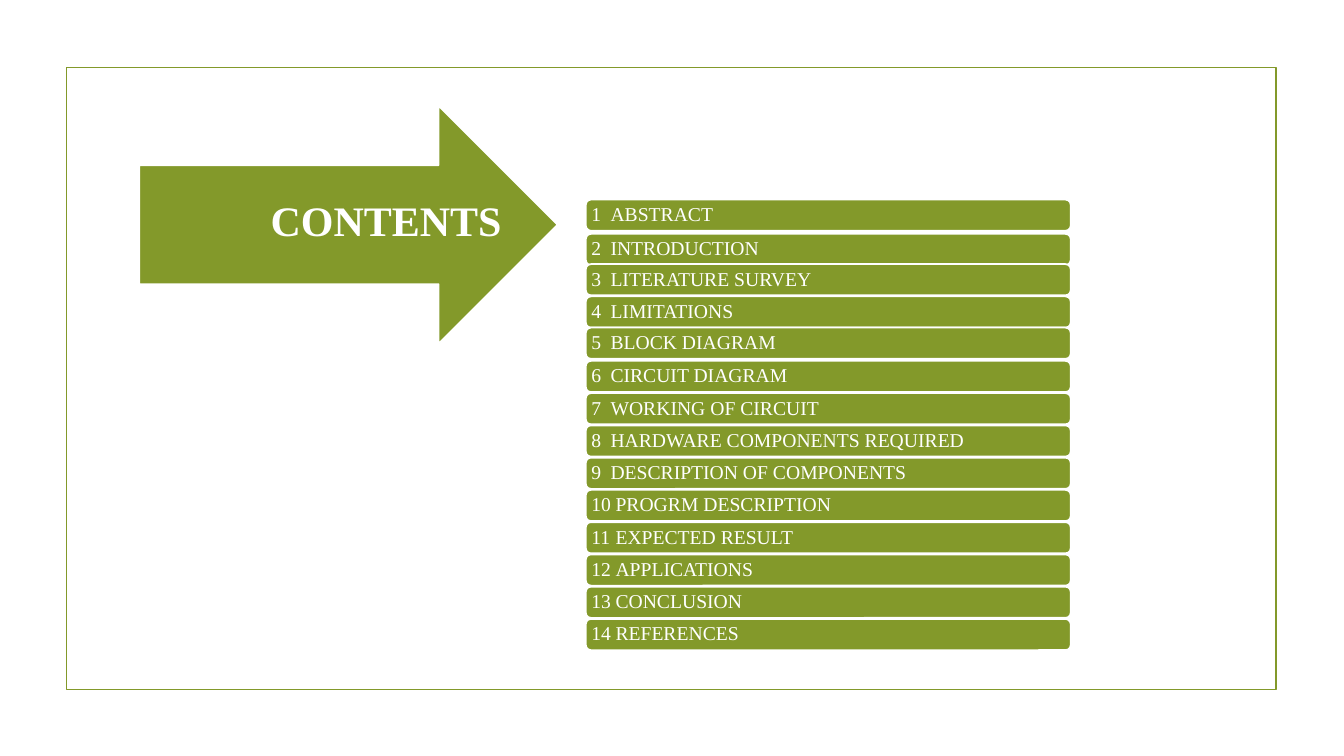
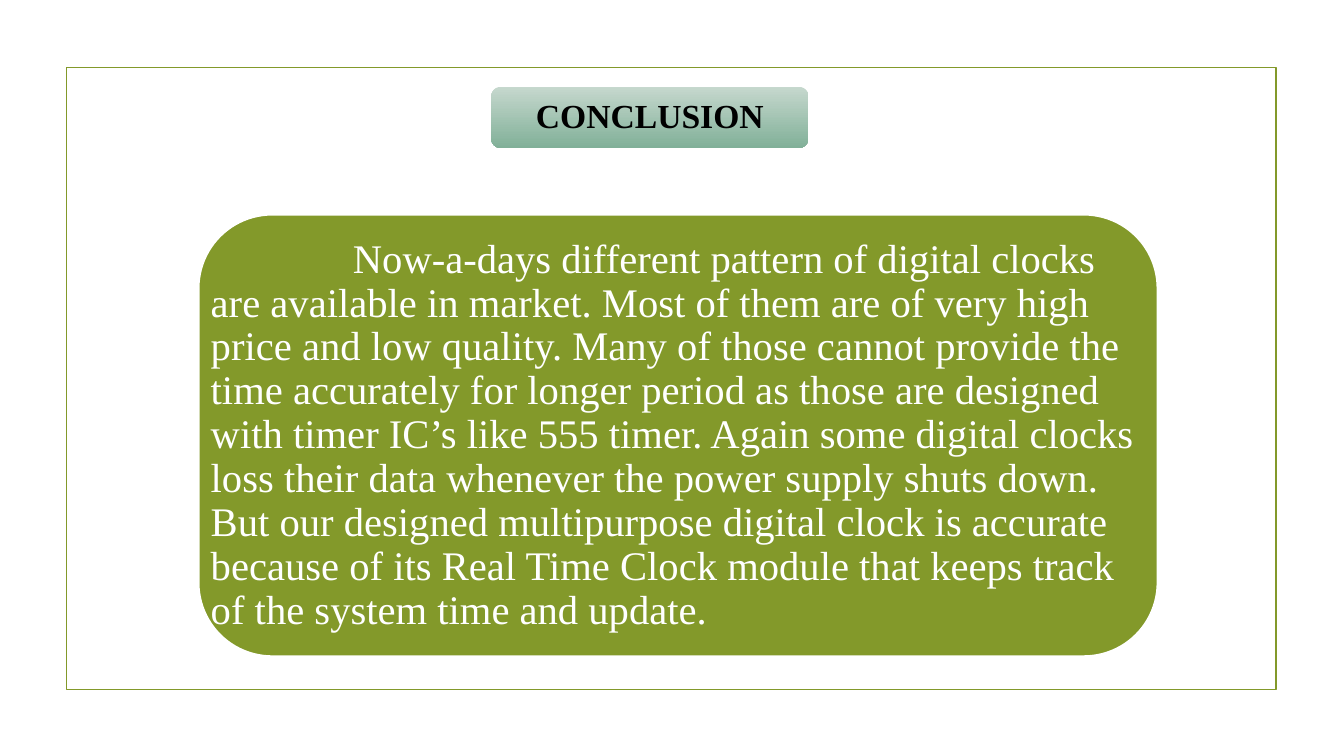
"""Build the contents and conclusion slides of a digital clock talk."""
import dataclasses
import typing

import lxml.etree
import pptx
import pptx.dml.color
import pptx.enum.shapes
import pptx.enum.text
import pptx.oxml.ns
import pptx.util

PX = 9144
Kind = pptx.enum.shapes.MSO_SHAPE
Align = pptx.enum.text.PP_ALIGN


@dataclasses.dataclass(frozen=True)
class Theme:
    font: str = "Times New Roman"
    green: str = "83992A"
    white: str = "FFFFFF"
    black: str = "000000"
    fade: tuple[str, str] = ("C6D8CE", "81B098")
    line: float = 1.25
    lead: float = 0.9
    head: int = 30
    name: int = 24
    body: int = 29
    item: int = 14


class Box(typing.NamedTuple):
    left: int
    top: int
    width: int
    height: int


class Item(typing.NamedTuple):
    text: str
    nudge: int = 0


THEME = Theme()
FRAME = Box(66, 67, 1200, 617)
ARROW = Box(138, 105, 415, 236)
HEAD = Box(255, 162, 256, 118)
BAR = Box(581, 198, 481, 31)
STEP = 32
LABEL = Box(487, 86, 315, 61)
PANEL = Box(197, 213, 951, 438)
ITEMS = [
    Item("ABSTRACT"),
    Item("INTRODUCTION", 2),
    Item("LITERATURE SURVEY"),
    Item("LIMITATIONS"),
    Item("BLOCK DIAGRAM", -1),
    Item("CIRCUIT DIAGRAM"),
    Item("WORKING OF CIRCUIT"),
    Item("HARDWARE COMPONENTS REQUIRED"),
    Item("DESCRIPTION OF COMPONENTS"),
    Item("PROGRM DESCRIPTION"),
    Item("EXPECTED RESULT"),
    Item("APPLICATIONS"),
    Item("CONCLUSION"),
    Item("REFERENCES"),
]
BODY = (
    "Now-a-days different pattern of digital clocks are available in market. "
    "Most of them are of very high price and low quality. Many of those cannot "
    "provide the time accurately for longer period as those are designed with "
    "timer IC’s like 555 timer. Again some digital clocks loss their data "
    "whenever the power supply shuts down. But our designed multipurpose "
    "digital clock is accurate because of its Real Time Clock module that "
    "keeps track of the system time and update."
)


def emu(box: Box) -> list[int]:
    return [side * PX for side in box]


def rgb(code: str) -> pptx.dml.color.RGBColor:
    return pptx.dml.color.RGBColor.from_string(code)


def write(shape, text: str, *, size: int, color: str = THEME.white,
          bold: bool = False, align=Align.LEFT, pad: int = 0,
          indent: int = 0, tab: int = 0) -> None:
    frame = shape.text_frame
    frame.word_wrap = True
    frame.auto_size = pptx.enum.text.MSO_AUTO_SIZE.NONE
    frame.vertical_anchor = pptx.enum.text.MSO_ANCHOR.MIDDLE
    frame.margin_left = frame.margin_right = pad * PX
    frame.margin_top = frame.margin_bottom = 0
    para = frame.paragraphs[0]
    para.alignment = align
    para.line_spacing = THEME.lead
    props = para._p.get_or_add_pPr()
    if indent:
        props.set("indent", str(indent * PX))
    if tab:
        tabs = lxml.etree.SubElement(props, pptx.oxml.ns.qn("a:tabLst"))
        lxml.etree.SubElement(tabs, pptx.oxml.ns.qn("a:tab"),
                              pos=str(tab * PX), algn="l")
    run = para.add_run()
    run.text = text
    font = run.font
    font.name = THEME.font
    font.size = pptx.util.Pt(size)
    font.bold = bold
    font.color.rgb = rgb(color)


def draw(slide, kind, box: Box, fill: str | None = None,
         line: str | None = None):
    shape = slide.shapes.add_shape(kind, *emu(box))
    shape.shadow.inherit = False
    if fill:
        shape.fill.solid()
        shape.fill.fore_color.rgb = rgb(fill)
    else:
        shape.fill.background()
    if line:
        shape.line.color.rgb = rgb(line)
        shape.line.width = pptx.util.Pt(THEME.line)
    else:
        shape.line.fill.background()
    return shape


def block(slide, kind, box: Box):
    return draw(slide, kind, box, THEME.green, THEME.white)


def title(slide, text: str, box: Box, size: int, color: str) -> None:
    shape = slide.shapes.title
    shape.left, shape.top, shape.width, shape.height = emu(box)
    write(shape, text, size=size, color=color, bold=True, align=Align.CENTER)
    slide.shapes.element.append(shape.element)


def border(slide) -> None:
    frame = draw(slide, Kind.RECTANGLE, FRAME, line=THEME.green)
    frame.element.nvSpPr.cNvPr.set("id", "99")
    slide.slide_layout.shapes.element.append(frame.element)


def contents(slide) -> None:
    block(slide, Kind.RIGHT_ARROW, ARROW)
    title(slide, "CONTENTS", HEAD, THEME.head, THEME.white)
    for num, item in enumerate(ITEMS, 1):
        top = BAR.top + (num - 1) * STEP + item.nudge
        bar = block(slide, Kind.ROUNDED_RECTANGLE, BAR._replace(top=top))
        write(bar, f"{num}\t{item.text}", size=THEME.item, pad=4,
              tab=19 if num < 10 else 24)


def closing(slide) -> None:
    label = draw(slide, Kind.ROUNDED_RECTANGLE, LABEL)
    label.fill.gradient()
    label.fill.gradient_angle = 270
    for stop, code in zip(label.fill.gradient_stops, THEME.fade):
        stop.color.rgb = rgb(code)
    title(slide, "CONCLUSION", LABEL, THEME.name, THEME.black)
    block(slide, Kind.ROUNDED_RECTANGLE, PANEL)
    text = slide.shapes.add_textbox(*emu(PANEL))
    write(text, BODY, size=THEME.body, pad=12, indent=141)


def main() -> None:
    deck = pptx.Presentation()
    deck.slide_width = 1333 * PX
    deck.slide_height = 750 * PX
    layout = deck.slide_layouts[5]
    first, last = (deck.slides.add_slide(layout) for _ in range(2))
    border(first)
    contents(first)
    closing(last)
    deck.save("out.pptx")


if __name__ == "__main__":
    main()
